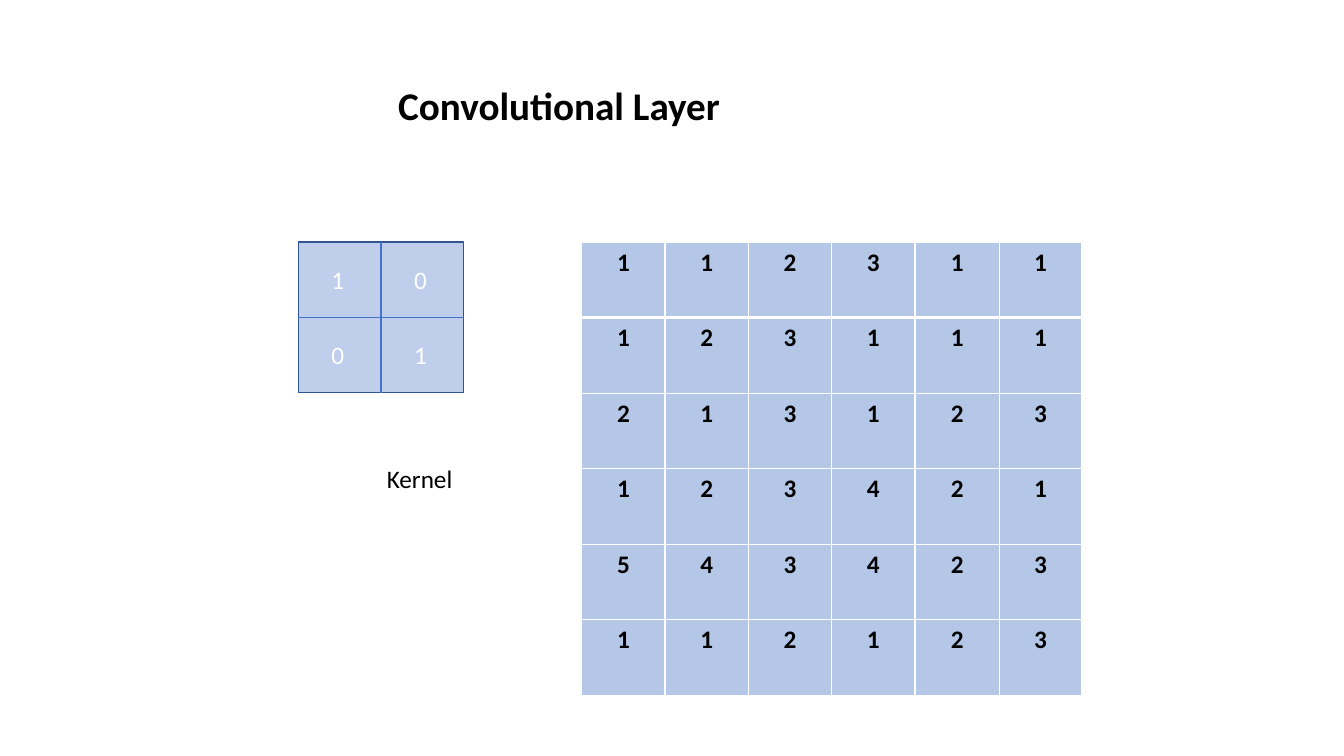
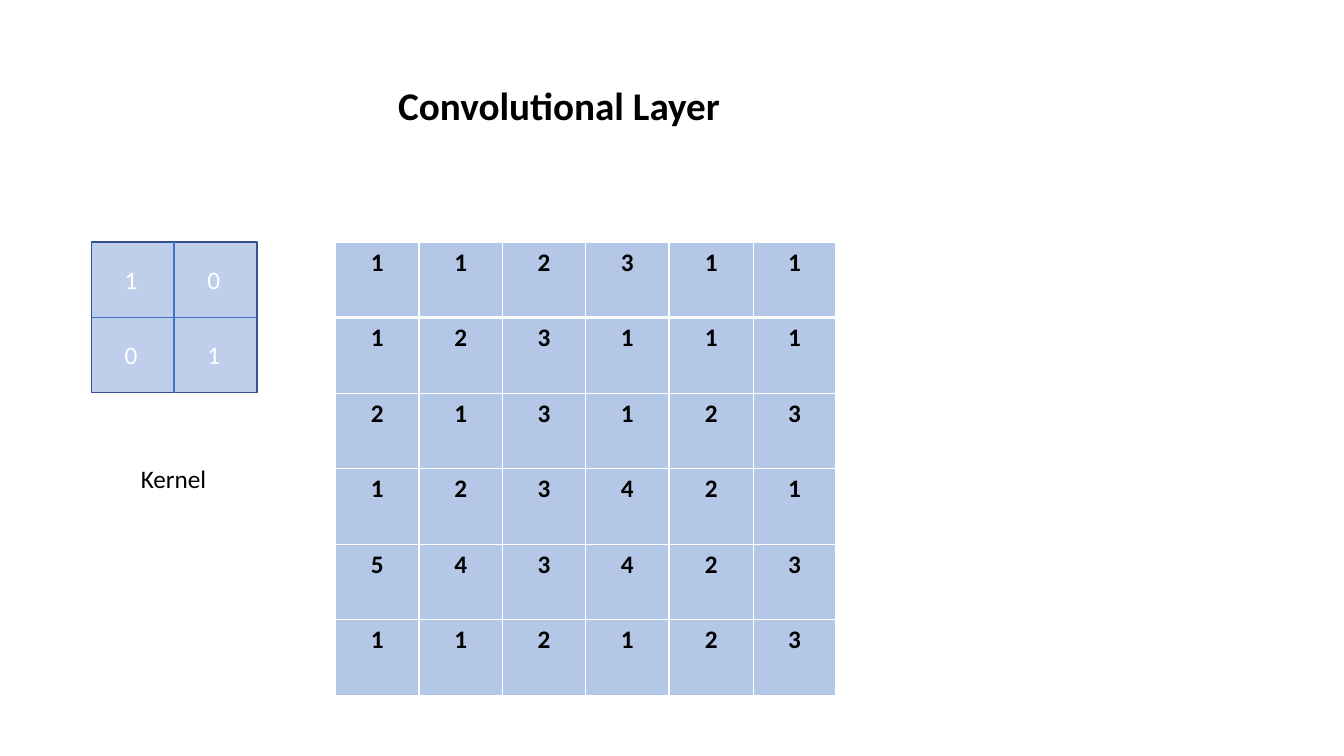
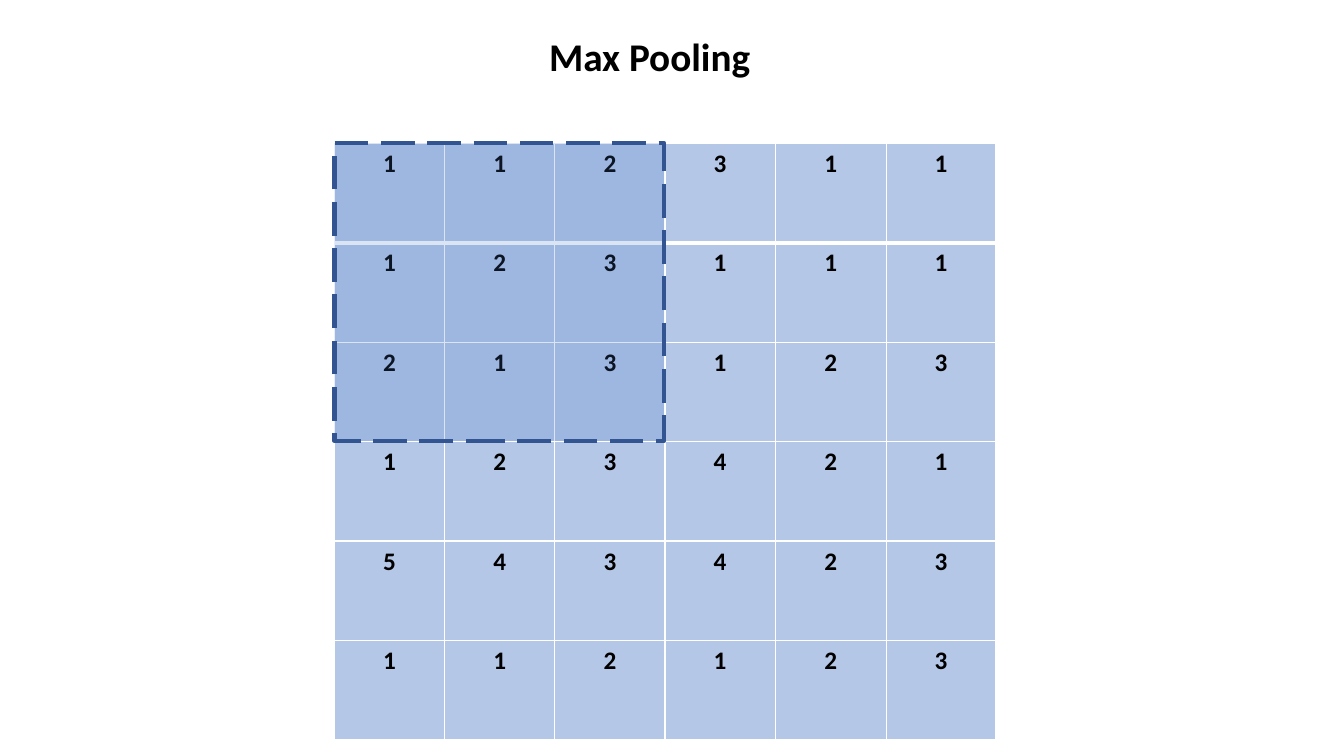
from dataclasses import dataclass
from typing import Any, Optional

import lxml.etree
import pptx
import pptx.dml.color
import pptx.enum.dml
import pptx.enum.shapes
import pptx.enum.text
import pptx.oxml.ns
import pptx.util

Cm, Pt = pptx.util.Cm, pptx.util.Pt
Align = pptx.enum.text.PP_ALIGN
qn = pptx.oxml.ns.qn


# Theme
@dataclass(frozen=True)
class Theme:
    font: str = "Calibri"
    ink: str = "000000"
    white: str = "FFFFFF"
    cell: str = "B4C7E7"
    blue: str = "4472C4"
    edge: str = "325491"
    head: float = 28
    text: float = 18


@dataclass(frozen=True)
class Box:
    x: float
    y: float
    w: float
    h: float

    def args(self) -> tuple:
        return Cm(self.x), Cm(self.y), Cm(self.w), Cm(self.h)


@dataclass(frozen=True)
class Pane:
    """Translucent rectangle: opacity in percent, outline in points."""
    box: Box
    alpha: int
    line: float
    dash: Optional[Any] = None


@dataclass(frozen=True)
class Page:
    title: str
    head: Box
    align: Any
    grid: Box
    kernel: Optional[Box] = None
    label: Optional[Box] = None
    pool: Optional[Pane] = None


THEME = Theme()
INPUT = ("112311", "123111", "213123", "123421", "543423", "112123")
KERNEL = ("10", "01")
SHARES = (83, 83, 83, 83, 84, 82)


def color(code: str) -> pptx.dml.color.RGBColor:
    return pptx.dml.color.RGBColor.from_string(code)


# Text
def write(frame: Any, text: str, size: float = THEME.text, ink: str = THEME.ink,
          bold: bool = False, align: Any = Align.LEFT) -> None:
    para = frame.paragraphs[0]
    para.alignment = align
    run = para.add_run()
    run.text = text
    font = run.font
    font.name, font.size, font.bold = THEME.font, Pt(size), bold
    font.color.rgb = color(ink)


def add_text(shapes: Any, box: Box, text: str, ink: str = THEME.ink,
             wrap: bool = True) -> None:
    frame = shapes.add_textbox(*box.args()).text_frame
    frame.word_wrap = wrap
    frame.auto_size = pptx.enum.text.MSO_AUTO_SIZE.SHAPE_TO_FIT_TEXT
    write(frame, text, ink=ink)


def add_title(slide: Any, page: Page) -> None:
    title = slide.shapes.title
    title.left, title.top, title.width, title.height = page.head.args()
    frame = title.text_frame
    frame.word_wrap = True
    frame.vertical_anchor = pptx.enum.text.MSO_ANCHOR.TOP
    frame.auto_size = pptx.enum.text.MSO_AUTO_SIZE.SHAPE_TO_FIT_TEXT
    write(frame, page.title, THEME.head, bold=True, align=page.align)


# Shapes
def add_pane(shapes: Any, pane: Pane) -> None:
    kind = pptx.enum.shapes.MSO_SHAPE.RECTANGLE
    rect = shapes.add_shape(kind, *pane.box.args())
    rect.shadow.inherit = False
    rect.fill.solid()
    rect.fill.fore_color.rgb = color(THEME.blue)
    tint = rect.fill._xPr.find(qn("a:solidFill"))[0]
    lxml.etree.SubElement(tint, qn("a:alpha"), val=str(pane.alpha * 1000))
    rect.line.color.rgb = color(THEME.edge)
    rect.line.width = Pt(pane.line)
    if pane.dash is not None:
        rect.line.dash_style = pane.dash


def add_line(shapes: Any, x: float, y: float, w: float, h: float, width: float) -> None:
    kind = pptx.enum.shapes.MSO_CONNECTOR.STRAIGHT
    line = shapes.add_connector(kind, Cm(x), Cm(y), Cm(x + w), Cm(y + h))
    line.line.color.rgb = color(THEME.blue)
    line.line.width = Pt(width)
    props = line._element.spPr
    lxml.etree.SubElement(props, qn("a:effectLst"))


def add_kernel(slide: Any, box: Box) -> None:
    shapes = slide.shapes.add_group_shape().shapes
    add_pane(shapes, Pane(box, 34, 1))
    half, mid = box.w / 2, box.h / 2
    add_line(shapes, box.x + half, box.y, 0, box.h, 1.5)
    add_line(shapes, box.x, box.y + mid, box.w, 0, 1.25)
    for i, row in enumerate(KERNEL):
        for j, digit in enumerate(row):
            spot = Box(box.x + 0.58 + j * half, box.y + 0.43 + i * mid, 0.69, 1.04)
            add_text(shapes, spot, digit, THEME.white)


# Table
def add_edge(cell: Any, side: str, width: float) -> None:
    props = cell._tc.get_or_add_tcPr()
    edge = lxml.etree.SubElement(props, qn("a:ln" + side), w=str(Pt(width)))
    fill = lxml.etree.SubElement(edge, qn("a:solidFill"))
    lxml.etree.SubElement(fill, qn("a:srgbClr"), val=THEME.white)


def add_grid(slide: Any, box: Box) -> None:
    table = slide.shapes.add_table(len(INPUT), len(SHARES), *box.args()).table
    table.horz_banding = False
    for col, share in zip(table.columns, SHARES):
        col.width = Cm(box.w * share / sum(SHARES))
    for i, row in enumerate(INPUT):
        table.rows[i].height = Cm(box.h / len(INPUT))
        for j, digit in enumerate(row):
            cell = table.cell(i, j)
            for side in "LRTB":
                thick = (i, side) in ((0, "B"), (1, "T"))
                add_edge(cell, side, 3 if thick else 1)
            cell.fill.solid()
            cell.fill.fore_color.rgb = color(THEME.cell)
            write(cell.text_frame, digit, bold=True, align=Align.CENTER)


# Pages
def conv(grid: float, kernel: float, label: float) -> Page:
    return Page("Convolutional Layer", Box(9.78, 1.93, 17.5, 1.45), Align.LEFT,
                Box(grid, 6.1, 12.6, 11.42), Box(kernel, 6.1, 4.17, 3.8),
                Box(label, 11.56, 2.18, 1.02))


PAGES = (
    conv(14.66, 7.52, 9.5),
    conv(8.46, 2.31, 3.3),
    Page("Max Pooling", Box(7.62, 0.69, 17.5, 1.45), Align.CENTER,
         Box(8.43, 3.61, 16.66, 15.04),
         pool=Pane(Box(8.43, 3.61, 8.31, 7.5), 19, 3,
                   pptx.enum.dml.MSO_LINE.LONG_DASH)),
)


def draw(deck: Any, page: Page) -> None:
    slide = deck.slides.add_slide(deck.slide_layouts.get_by_name("Title Only"))
    add_title(slide, page)
    add_grid(slide, page.grid)
    if page.kernel:
        add_kernel(slide, page.kernel)
    if page.label:
        add_text(slide.shapes, page.label, "Kernel", wrap=False)
    if page.pool:
        add_pane(slide.shapes, page.pool)


deck = pptx.Presentation()
deck.slide_width, deck.slide_height = Cm(33.87), Cm(19.05)
for page in PAGES:
    draw(deck, page)
deck.save("out.pptx")
